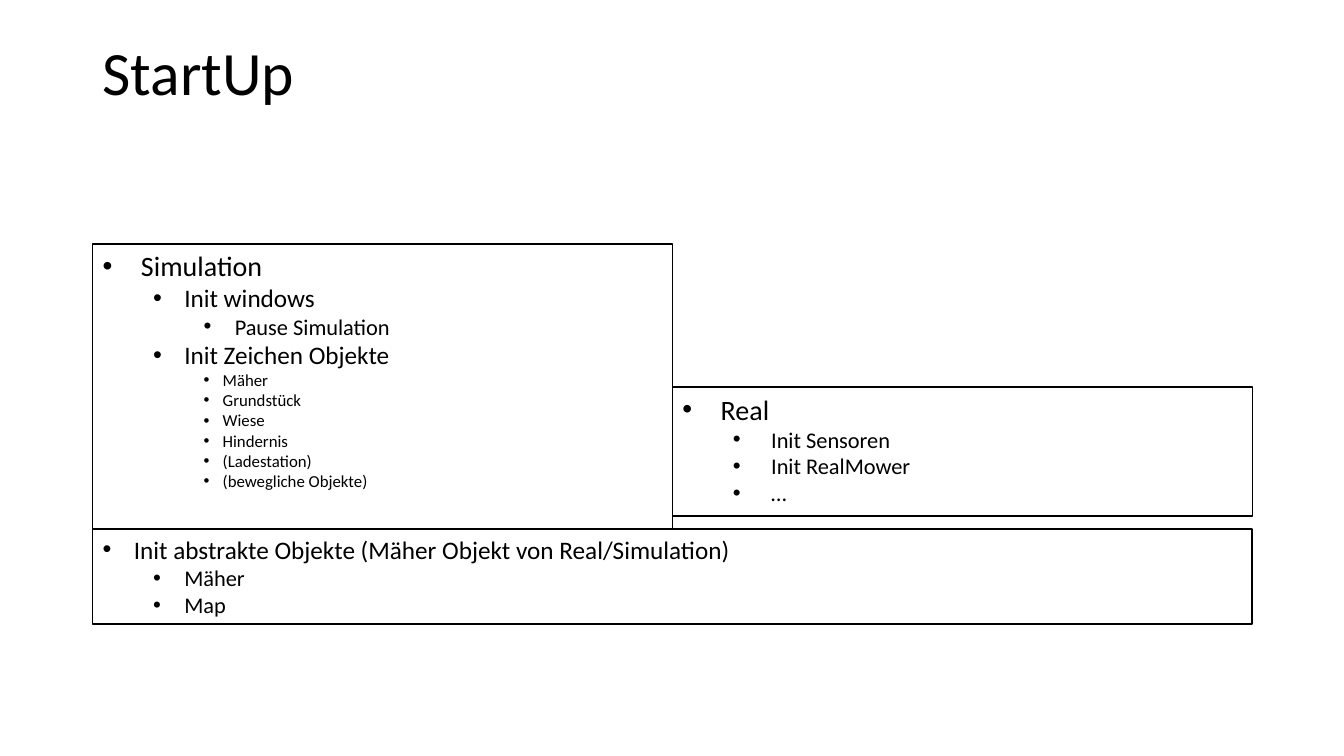
from dataclasses import dataclass

from pptx import Presentation
from pptx import util as u
from pptx.dml.color import RGBColor
from pptx.enum import shapes, text
from pptx.oxml.ns import qn
from lxml import etree

COLORS = {"ink": "000000", "paper": "FFFFFF"}
FONT = "Calibri"
LEFT, WIDTH = 0.92, 11.5
HALF = WIDTH / 2
LEVEL_STEP = 0.5


@dataclass(frozen=True)
class Item:
    words: str
    size: int
    level: int = 0
    hang: float = 0.31


@dataclass(frozen=True)
class Box:
    left: float
    top: float
    width: float
    height: float
    items: list[Item]


def color(name: str) -> RGBColor:
    return RGBColor.from_string(COLORS[name])


def write(p, words: str, *, size: int, level: int = 0, hang: float = 0,
          bullet: bool = False, spacing: float = 1.0) -> None:
    """Fill one paragraph with formatted text."""
    p.alignment = text.PP_ALIGN.LEFT
    p.line_spacing = spacing
    p.level = level
    r = p.add_run()
    r.text = words
    r.font.name = FONT
    r.font.size = u.Pt(size)
    r.font.color.rgb = color("ink")
    if bullet:
        ppr = p._p.get_or_add_pPr()
        ppr.set("marL", str(u.Inches(level * LEVEL_STEP + hang)))
        ppr.set("indent", str(-u.Inches(hang)))
        etree.SubElement(ppr, qn("a:buFont")).set("typeface", "Arial")
        etree.SubElement(ppr, qn("a:buChar")).set("char", "•")


def draw_box(slide, box: Box) -> None:
    """Draw an outlined rectangle with a bulleted list."""
    sp = slide.shapes.add_shape(
        shapes.MSO_SHAPE.RECTANGLE, u.Inches(box.left), u.Inches(box.top),
        u.Inches(box.width), u.Inches(box.height))
    sp.shadow.inherit = False
    sp.fill.solid()
    sp.fill.fore_color.rgb = color("paper")
    sp.line.color.rgb = color("ink")
    sp.line.width = u.Pt(1)
    tf = sp.text_frame
    tf.word_wrap = True
    tf.vertical_anchor = text.MSO_ANCHOR.TOP
    for i, item in enumerate(box.items):
        p = tf.add_paragraph() if i else tf.paragraphs[0]
        write(p, item.words, size=item.size, level=item.level,
              hang=item.hang, bullet=True)


def draw_title(slide, words: str) -> None:
    sp = slide.shapes.add_textbox(
        u.Inches(LEFT), u.Inches(0.25), u.Inches(WIDTH), u.Inches(1))
    tf = sp.text_frame
    tf.word_wrap = True
    tf.vertical_anchor = text.MSO_ANCHOR.MIDDLE
    write(tf.paragraphs[0], words, size=44, spacing=0.9)


DRAWN_OBJECTS = ["Mäher", "Grundstück", "Wiese", "Hindernis",
                 "(Ladestation)", "(bewegliche Objekte)"]
REAL_STEPS = ["Init Sensoren", "Init RealMower", "…"]

BOXES = [
    # Simulation
    Box(LEFT, 2.42, HALF, 2.83, [
        Item("Simulation", 20, hang=0.38),
        Item("Init windows", 18, 1),
        Item("Pause Simulation", 16, 2),
        Item("Init Zeichen Objekte", 18, 1),
        *(Item(name, 12, 2, 0.19) for name in DRAWN_OBJECTS),
    ]),
    # Real mower
    Box(LEFT + HALF, 3.84, HALF, 1.28, [
        Item("Real", 20, hang=0.38),
        *(Item(step, 16, 1, 0.38) for step in REAL_STEPS),
    ]),
    # Shared abstract objects
    Box(LEFT, 5.25, WIDTH, 0.94, [
        Item("Init abstrakte Objekte (Mäher Objekt von Real/Simulation)", 18),
        Item("Mäher", 16, 1),
        Item("Map", 16, 1),
    ]),
]


def main() -> None:
    prs = Presentation()
    prs.slide_width, prs.slide_height = u.Inches(13.33), u.Inches(7.5)
    slide = prs.slides.add_slide(prs.slide_layouts[6])
    draw_title(slide, "StartUp")
    for box in BOXES:
        draw_box(slide, box)
    prs.save("out.pptx")


if __name__ == "__main__":
    main()
